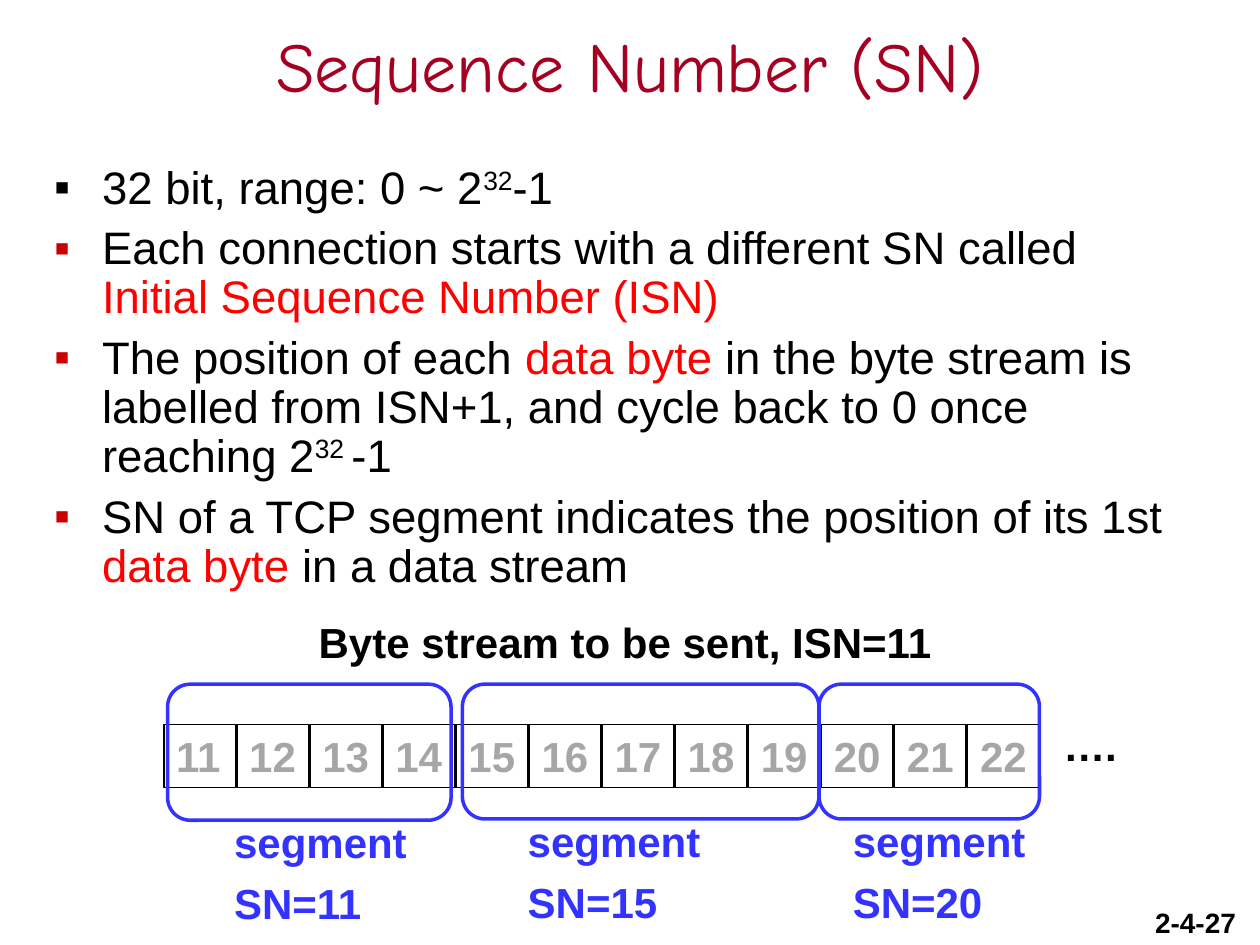
"""Build the slide on TCP sequence numbers with its byte stream diagram."""
from dataclasses import dataclass

from lxml.etree import SubElement
from pptx import Presentation
from pptx.dml.color import RGBColor
from pptx.enum.shapes import MSO_SHAPE as Preset
from pptx.enum.text import MSO_ANCHOR as Anchor, MSO_AUTO_SIZE as AutoSize, PP_ALIGN as Align
from pptx.oxml.ns import qn
from pptx.util import Pt

SCALE = 9144


@dataclass(frozen=True)
class Theme:
    heading_font: str = "Comic Neue"
    text_font: str = "Arial"
    ink: str = "000000"
    heading: str = "A50021"
    accent: str = "FF0000"
    bullet: str = "CC0000"
    byte: str = "A6A6A6"
    segment: str = "3333FF"
    heading_size: int = 40
    body_size: int = 26
    label_size: int = 24
    page_size: int = 16


THEME = Theme()

TITLE = "Sequence Number (SN)"
POINTS = [
    (THEME.ink, [("32 bit, range: 0 ~ 2", ""), ("32", "super"), ("-1", "")]),
    (THEME.bullet, [("Each connection starts with a different SN called ", ""),
                    ("Initial Sequence Number (ISN)", "accent")]),
    (THEME.bullet, [("The position of each ", ""), ("data byte", "accent"),
                    (" in the byte stream is labelled from ISN+1, and cycle back to 0 once reaching 2", ""),
                    ("32 ", "super"), ("-1", "")]),
    (THEME.bullet, [("SN of a TCP segment indicates the position of its 1st ", ""),
                    ("data byte", "accent"), (" in a data stream", "")]),
]
CAPTION = "Byte stream to be sent, ISN=11"
BYTES = range(11, 23)
SEGMENTS = [
    {"sn": 11, "frame": (133, 543, 225, 108), "label": (176, 643)},
    {"sn": 15, "frame": (367, 543, 283, 107), "label": (409, 642)},
    {"sn": 20, "frame": (650, 543, 175, 107), "label": (667, 642)},
]
BYTE_LEFT, BYTE_TOP, BYTE_PITCH, BYTE_WIDTH, BYTE_HEIGHT = 130, 575, 58, 57, 50


def px(*lengths):
    return [length * SCALE for length in lengths]


def place(part, box):
    part.left, part.top, part.width, part.height = px(*box)


def add_bullet(paragraph, color):
    props = paragraph._p.get_or_add_pPr()
    hang = px(38)[0]
    props.set("marL", str(hang))
    props.set("indent", str(-hang))
    SubElement(SubElement(props, qn("a:buClr")), qn("a:srgbClr")).set("val", color)
    SubElement(props, qn("a:buFont")).set("typeface", THEME.text_font)
    SubElement(props, qn("a:buChar")).set("char", "▪")


def write(part, paragraphs, *, size=THEME.label_size, color=THEME.ink, font=THEME.text_font,
          bold=True, align=Align.LEFT, anchor=Anchor.TOP, wrap=False, before=6, spacing=1.0):
    frame = part.text_frame
    frame.word_wrap = wrap
    frame.auto_size = AutoSize.NONE
    frame.vertical_anchor = anchor
    for index, (bullet, runs) in enumerate(paragraphs):
        paragraph = frame.add_paragraph() if index else frame.paragraphs[0]
        paragraph.alignment = align
        paragraph.line_spacing = spacing
        paragraph.space_before = Pt(before if index else 0)
        if bullet:
            add_bullet(paragraph, bullet)
        for text, style in runs:
            run = paragraph.add_run()
            run.text = text
            run.font.name = font
            run.font.size = Pt(size)
            run.font.bold = bold
            run.font.color.rgb = RGBColor.from_string(THEME.accent if style == "accent" else color)
            if style == "super":
                run.font._element.set("baseline", "30000")


def plain(*lines):
    return [(None, [(line, "")]) for line in lines]


def add_label(slide, box, *lines, **style):
    write(slide.shapes.add_textbox(*px(*box)), plain(*lines), **style)


def add_outline(slide, preset, box, color, weight):
    outline = slide.shapes.add_shape(preset, *px(*box))
    outline.shadow.inherit = False
    outline.fill.background()
    outline.line.color.rgb = RGBColor.from_string(color)
    outline.line.width = Pt(weight)
    return outline


def main():
    deck = Presentation()
    deck.slide_width, deck.slide_height = px(1000, 750)
    slide = deck.slides.add_slide(deck.slide_layouts[1])

    title, body = slide.placeholders
    place(title, (50, 0, 900, 103))
    write(title, plain(TITLE), size=THEME.heading_size, color=THEME.heading, bold=False,
          font=THEME.heading_font, align=Align.CENTER, anchor=Anchor.MIDDLE, wrap=True)
    place(body, (33, 126, 925, 365))
    write(body, POINTS, size=THEME.body_size, bold=False, wrap=True, before=6.5, spacing=0.9)

    add_label(slide, (907, 714, 93, 36), "2-4-27", size=THEME.page_size)
    for column, number in enumerate(BYTES):
        box = (BYTE_LEFT + column * BYTE_PITCH, BYTE_TOP, BYTE_WIDTH, BYTE_HEIGHT)
        cell = add_outline(slide, Preset.RECTANGLE, box, THEME.ink, 1)
        write(cell, plain(str(number)), color=THEME.byte)
    add_label(slide, (834, 566, 62, 50), "….")
    add_label(slide, (243, 484, 508, 50), CAPTION)

    for segment in SEGMENTS:
        add_outline(slide, Preset.ROUNDED_RECTANGLE, segment["frame"], THEME.segment, 2)
        add_label(slide, (*segment["label"], 157, 99), "segment", f"SN={segment['sn']}",
                  color=THEME.segment)

    deck.save("out.pptx")


if __name__ == "__main__":
    main()
